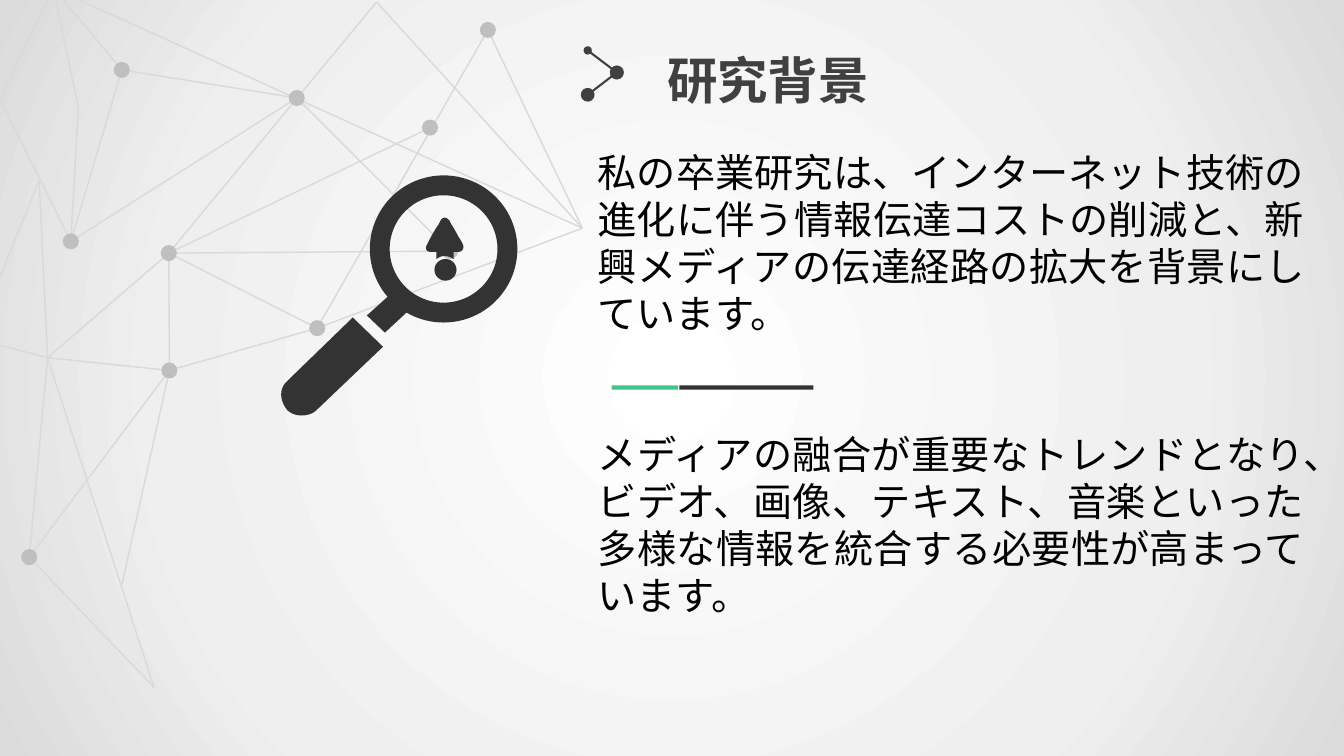
import pptx
import pptx.util
import pptx.dml.color
import pptx.enum.shapes
import pptx.enum.text
import pptx.oxml.ns
from lxml import etree

Pt = pptx.util.Pt
RGB = pptx.dml.color.RGBColor
SHAPE = pptx.enum.shapes.MSO_SHAPE
qn = pptx.oxml.ns.qn

# Content
FONT = "Noto Sans CJK JP"
TITLE = "研究背景"
BODY = [
    "私の卒業研究は、インターネット技術の進化に伴う情報伝達コストの削減と、新興メディアの伝達経路の拡大を背景にしています。",
    "メディアの融合が重要なトレンドとなり、ビデオ、画像、テキスト、音楽といった多様な情報を統合する必要性が高まっています。",
]

# Colours
BLACK = RGB(0x00, 0x00, 0x00)
HEADING = RGB(0x40, 0x40, 0x40)
DARK = RGB(0x33, 0x33, 0x33)
GREEN = RGB(0x42, 0xC6, 0x87)
DOT = RGB(0xBF, 0xBF, 0xBF)
WEB = RGB(0xD9, 0xD9, 0xD9)
BACKDROP = [(0, "FFFFFF"), (67000, "EFEFEF"), (100000, "DBDBDB")]

# Network: named nodes, the edges between them, and the nodes with a dot
NODES = {
    "a": (20.9, 398), "b": (120.6, 180.8), "c": (121, 264.6), "d": (-18, 242),
    "e": (28, 129), "f": (110, 491), "g": (87, 418), "h": (34, 255.5),
    "k": (416, 163), "l": (269, 1.5), "m": (38, -8.5), "n": (226.6, 234.4),
    "o": (348.5, 21.4), "p": (307.2, 91.2), "q": (321.5, 179.4),
    "r": (212, 70), "s": (87, 49.9), "t": (50.6, 172.4), "u": (56, 76.5),
    "v": (0, 70.5),
}
EDGES = ("ha bh ac hc hd he ed fh fa gc kl km kn cn bn on bl bp qr bq bc "
         "sr sm st tr ko ut um vt vm").split()
DOTTED = "aopqncbrts"
DOT_SIZE = 11.5

# Outlines: pairs are straight steps, sixes are cubic curves
ARROW = [
    (329, 171.4), (326.9, 168.5, 324.7, 163.4, 322.6, 160.6), (321.1, 157.7),
    (319, 154.8, 316.1, 154.8, 314.6, 157.7), (313.2, 160.6),
    (311, 163.4, 308.2, 168.5, 306.7, 171.4), (305.3, 174.2),
    (303.1, 177.8, 304.6, 180, 308.2, 180), (311.8, 180), (311.8, 185),
    (313.9, 183.6, 315.4, 182.9, 317.5, 182.9),
    (319.7, 182.9, 321.8, 183.6, 324, 185), (324, 180), (326.9, 180),
    (330.5, 180, 331.9, 177.1, 330.5, 174.2),
]
NECK = [(295.9, 218.2), (275, 237.6), (262.1, 225.4), (283.7, 205.9)]
HANDLE = [
    (252, 226.8), (205.2, 272.2), (199.4, 277.2, 199.4, 285.8, 205.2, 293),
    (210.2, 298.1, 221, 298.1, 226.1, 293), (273.6, 247.7),
]

prs = pptx.Presentation()
prs.slide_width, prs.slide_height = Pt(960), Pt(540)
s = prs.slides.add_slide(prs.slide_layouts[6])


def paint(sp, color):
    sp.shadow.inherit = False
    sp.fill.solid()
    sp.fill.fore_color.rgb = color
    sp.line.fill.background()


def add_shape(kind, x, y, w, h, color):
    sp = s.shapes.add_shape(kind, Pt(x), Pt(y), Pt(w), Pt(h))
    paint(sp, color)
    return sp


def add_line(start, end, color, width):
    ends = [Pt(v) for v in start + end]
    ln = s.shapes.add_connector(pptx.enum.shapes.MSO_CONNECTOR.STRAIGHT, *ends)
    ln.line.color.rgb = color
    ln.line.width = Pt(width)
    etree.SubElement(ln._element.spPr, qn("a:effectLst"))
    return ln


def add_outline(steps, color, pieces=10):
    points = [steps[0]]
    for step in steps[1:]:
        if len(step) == 2:
            points.append(step)
            continue
        p0, p1, p2, p3 = points[-1], step[:2], step[2:4], step[4:]
        for i in range(1, pieces + 1):
            t = i / pieces
            u = 1 - t
            points.append(tuple(
                u**3 * a + 3 * u * u * t * b + 3 * u * t * t * c + t**3 * d
                for a, b, c, d in zip(p0, p1, p2, p3)))
    points = [(Pt(x), Pt(y)) for x, y in points]
    fb = s.shapes.build_freeform(*points[0])
    fb.add_line_segments(points[1:], close=True)
    paint(fb.convert_to_shape(), color)


def add_text(x, y, w, h, paragraphs, size, color, bold=False):
    tf = s.shapes.add_textbox(Pt(x), Pt(y), Pt(w), Pt(h)).text_frame
    tf.word_wrap = True
    for i, text in enumerate(paragraphs):
        p = tf.paragraphs[0] if i == 0 else tf.add_paragraph()
        p.text = text
        p.line_spacing = Pt(size * 1.2)
        r = p.runs[0]
        r.font.size, r.font.bold, r.font.name = Pt(size), bold, FONT
        r.font.color.rgb = color
        etree.SubElement(r._r.get_or_add_rPr(), qn("a:ea"), typeface=FONT)
    return tf


# Backdrop with a radial gradient
sp = add_shape(SHAPE.RECTANGLE, 0, 0, 960, 540, WEB)
sp.fill.gradient()
grad = sp._element.spPr.find(qn("a:gradFill"))
for child in list(grad):
    grad.remove(child)
stops = etree.SubElement(grad, qn("a:gsLst"))
for pos, value in BACKDROP:
    gs = etree.SubElement(stops, qn("a:gs"), pos=str(pos))
    etree.SubElement(gs, qn("a:srgbClr"), val=value)
circle = etree.SubElement(grad, qn("a:path"), path="circle")
etree.SubElement(circle, qn("a:fillToRect"), l="50000", t="50000", r="50000", b="50000")

# Network
for start, end in EDGES:
    add_line(NODES[start], NODES[end], WEB, 1)
for name in DOTTED:
    x, y = NODES[name]
    add_shape(SHAPE.OVAL, x - DOT_SIZE / 2, y - DOT_SIZE / 2, DOT_SIZE, DOT_SIZE, DOT)

# Body text and title
tf = add_text(419.8, 102.2, 519, 346, BODY, 28, BLACK)
for p in tf.paragraphs:
    p.alignment = pptx.enum.text.PP_ALIGN.JUSTIFY
tf.paragraphs[1].space_before = Pt(67.2)
add_text(469.4, 31.7, 160, 51, [TITLE], 36, HEADING, bold=True)

# Title marker: two strokes with round ends
top, tip, bottom = (419.8, 36), (440.6, 51.8), (419.8, 67.7)
for start, end, head in [(top, tip, "med"), (tip, bottom, "lg")]:
    ln = add_line(start, end, HEADING, 1.5).line._get_or_add_ln()
    for tag, size in [("a:headEnd", head), ("a:tailEnd", "lg")]:
        etree.SubElement(ln, qn(tag), type="oval", w=size, len=size)

# Magnifying glass
add_outline(ARROW, DARK)
add_shape(SHAPE.OVAL, 310.3, 185, 15.8, 15.5, DARK)
add_outline(NECK, DARK)
lens = add_shape(SHAPE.DONUT, 264.2, 125.3, 105.4, 105.1, DARK)
lens.adjustments[0] = 0.135
add_outline(HANDLE, DARK)

# Two-tone divider
add_shape(SHAPE.RECTANGLE, 437, 275.2, 47.5, 3.2, GREEN)
add_shape(SHAPE.RECTANGLE, 485.3, 275.2, 95.7, 3.2, DARK)

prs.save("out.pptx")
